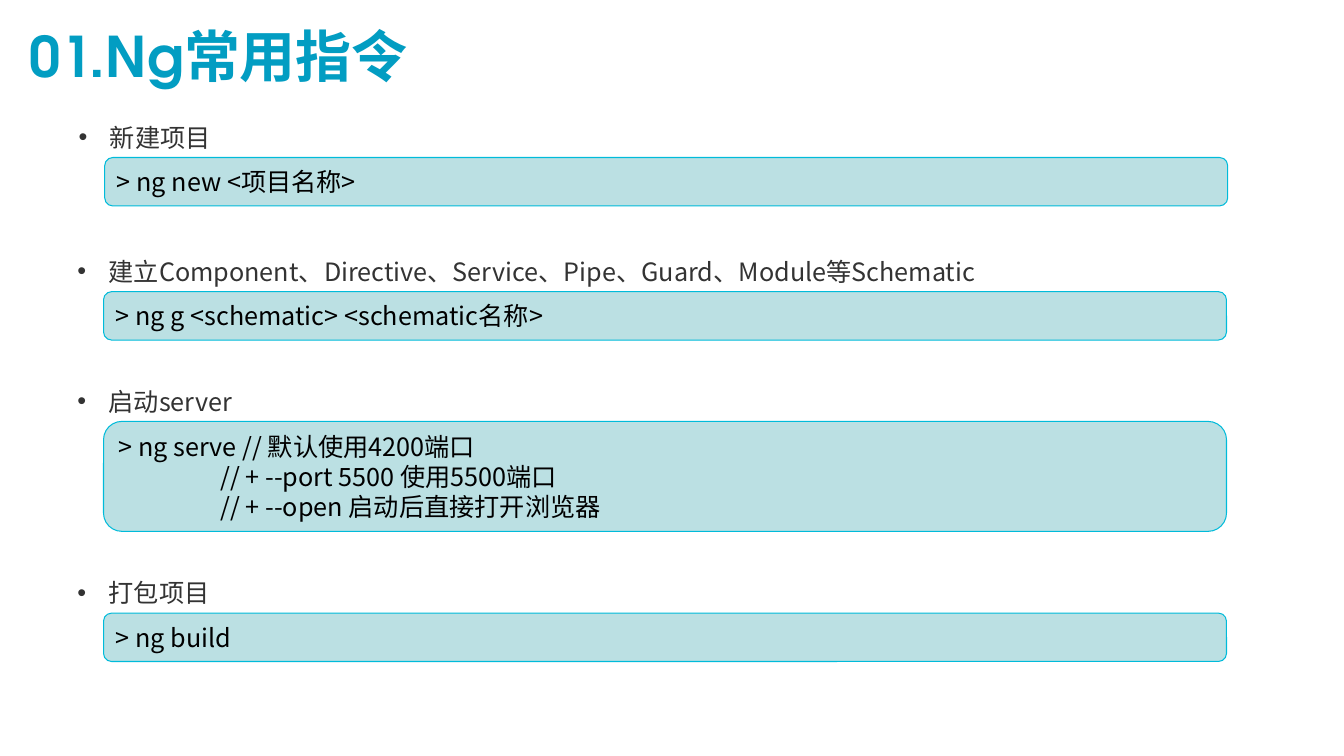
from lxml import etree
from pptx import Presentation
from pptx.dml.color import RGBColor
from pptx.enum import shapes, text
from pptx.oxml import ns
from pptx.util import Cm, Pt

TEAL = RGBColor(0x02, 0x9D, 0xC2)
GREY = RGBColor(0x33, 0x33, 0x33)
BLACK = RGBColor(0, 0, 0)
PALE = RGBColor(0xBB, 0xE0, 0xE3)
EDGE = RGBColor(0x00, 0xBB, 0xDA)
SANS = "Noto Sans CJK SC"
HEAD = "TeX Gyre Adventor"

# left, top, label width, label, box height, code lines
STEPS = [
    (1.73, 2.95, 18.85, "新建项目", 1.22, ["> ng new <项目名称>"]),
    (1.7, 6.33, 26.24,
     "建立Component、Directive、Service、Pipe、Guard、Module等Schematic",
     1.22, ["> ng g <schematic> <schematic名称>"]),
    (1.7, 9.6, 23.06, "启动server", 2.77, [
        "> ng serve // 默认使用4200端口",
        "                  // + --port 5500 使用5500端口",
        "                  // + --open 启动后直接打开浏览器"]),
    (1.7, 14.43, 23.06, "打包项目", 1.22, ["> ng build"]),
]
LABEL_H = 1.02
INDENT = 0.91
BOX_W = 28.3


class Deck:
    def __init__(self):
        self.prs = Presentation()
        self.prs.slide_width, self.prs.slide_height = Cm(33.87), Cm(19.05)
        self.slide = self.prs.slides.add_slide(self.prs.slide_layouts[5])

    def style(self, par, color, size=18, face=SANS, bold=False):
        par.alignment = text.PP_ALIGN.LEFT
        font = par.font
        font.name, font.size, font.bold = face, Pt(size), bold
        font.color.rgb = color
        latin = par._p.pPr.find(".//" + ns.qn("a:latin"))
        asian = etree.Element(ns.qn("a:ea"), typeface=SANS)
        latin.addnext(asian)

    def title(self, words):
        box = self.slide.shapes.title
        box.left, box.top, box.width, box.height = (
            Cm(0.5), Cm(0.4), Cm(29.36), Cm(1.96))
        frame = box.text_frame
        frame.text = words
        frame.vertical_anchor = text.MSO_ANCHOR.MIDDLE
        self.style(frame.paragraphs[0], TEAL, 40, HEAD, True)

    def label(self, left, top, width, words):
        box = self.slide.shapes.add_textbox(
            Cm(left), Cm(top), Cm(width), Cm(LABEL_H))
        frame = box.text_frame
        frame.word_wrap = True
        frame.auto_size = text.MSO_AUTO_SIZE.SHAPE_TO_FIT_TEXT
        par = frame.paragraphs[0]
        par.text = words
        props = par._p.get_or_add_pPr()
        props.set("marL", str(Cm(0.79)))
        props.set("indent", str(Cm(-0.79)))
        etree.SubElement(props, ns.qn("a:buFont"), typeface="Arial")
        etree.SubElement(props, ns.qn("a:buChar"), char="•")
        self.style(par, GREY)

    def code(self, left, top, height, lines):
        box = self.slide.shapes.add_shape(
            shapes.MSO_SHAPE.ROUNDED_RECTANGLE,
            Cm(left), Cm(top), Cm(BOX_W), Cm(height))
        box.shadow.inherit = False
        box.fill.solid()
        box.fill.fore_color.rgb = PALE
        box.line.color.rgb = EDGE
        box.line.width = Pt(0.75)
        frame = box.text_frame
        frame.vertical_anchor = text.MSO_ANCHOR.MIDDLE
        frame.text = "\n".join(lines)
        for par in frame.paragraphs:
            self.style(par, BLACK)


def main():
    deck = Deck()
    deck.title("01.Ng常用指令")
    for left, top, width, words, height, lines in STEPS:
        deck.label(left, top, width, words)
        deck.code(left + INDENT, top + LABEL_H, height, lines)
    deck.prs.save("out.pptx")


if __name__ == "__main__":
    main()
